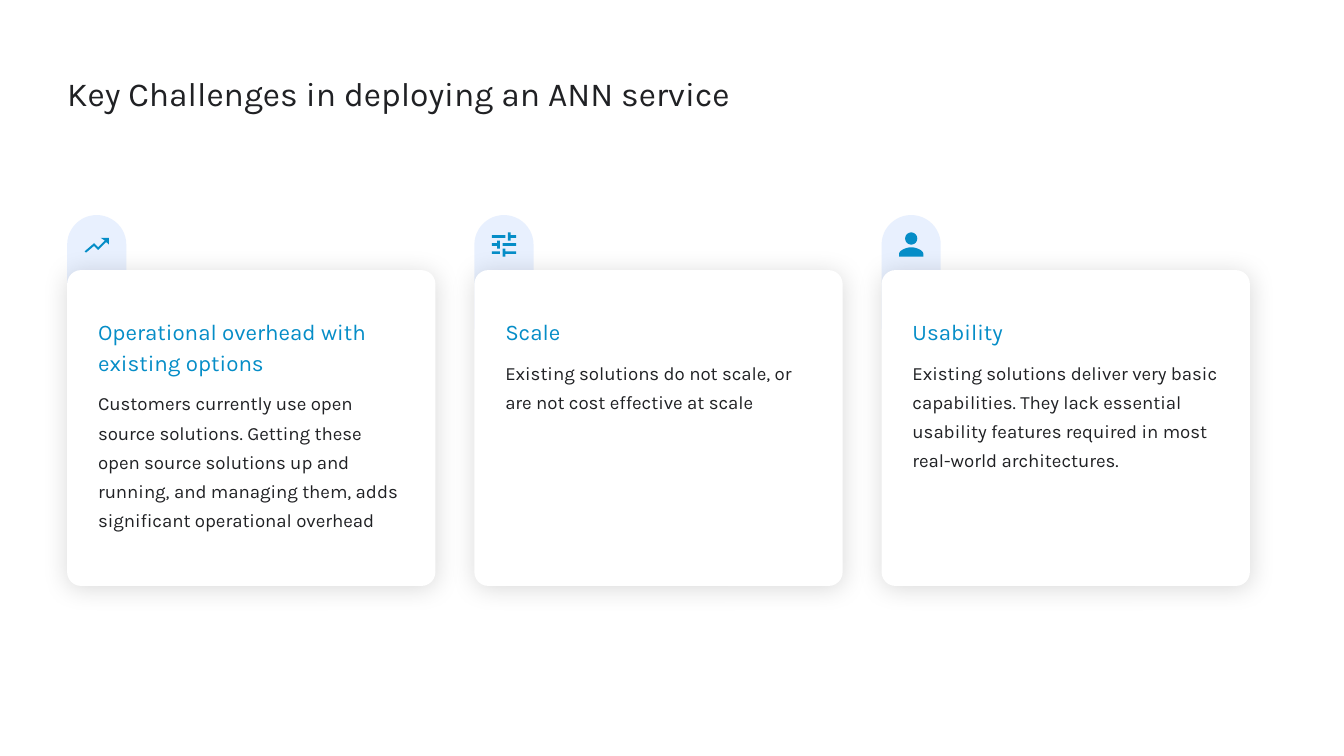
from math import cos, pi, sin

from lxml.etree import SubElement
from pptx import Presentation
from pptx.dml.color import RGBColor
from pptx.enum.shapes import MSO_SHAPE as Shape
from pptx.enum.text import MSO_ANCHOR as Anchor, MSO_AUTO_SIZE as AutoSize, PP_ALIGN as Align
from pptx.oxml.ns import qn
from pptx.util import Pt

PX = 9144  # EMU in one px, 100 px to the inch
FONT = "Karla"
BLUE, INK, PALE, WHITE = "058DC7", "202124", "E8F0FE", "FFFFFF"
CARD_LEFT, CARD_STEP, TAB_TOP = 50, 303, 160
CARD_SIZE = (274, 235)


def color(hex_value):
    return RGBColor.from_string(hex_value)


def bar(x, y, width, height):
    return [(x, y), (x + width, y), (x + width, y + height), (x, y + height)]


def circle(x, y, radius, steps=48):
    angles = [2 * pi * i / steps for i in range(steps)]
    return [(x + radius * cos(a), y + radius * sin(a)) for a in angles]


def bezier(start, first, second, end, steps=16):
    points = []
    for i in range(steps + 1):
        t = i / steps
        weights = ((1 - t) ** 3, 3 * t * (1 - t) ** 2, 3 * t * t * (1 - t), t ** 3)
        points.append(tuple(sum(w * p[axis] for w, p in zip(weights, (start, first, second, end)))
                            for axis in (0, 1)))
    return points


# Icon outlines in px, on an 18 px grid
TREND = [[(12, 4), (15, 6), (10, 11), (7, 8), (0, 14), (1, 15), (7, 10), (10, 13),
          (16, 7), (18, 9), (18, 4)]]
SLIDERS = [
    bar(0, 14, 6, 2), bar(0, 2, 10, 2), bar(8, 8, 10, 2),
    [(10, 18), (10, 16), (18, 16), (18, 14), (10, 14), (10, 12), (8, 12), (8, 18)],
    [(4, 8), (0, 8), (0, 10), (4, 10), (4, 12), (6, 12), (6, 6), (4, 6)],
    [(12, 6), (14, 6), (14, 4), (18, 4), (18, 2), (14, 2), (14, 0), (12, 0)],
]
SHOULDER = bezier((0, 16), (0, 13), (6, 11), (9, 11))
PERSON = [circle(9, 4.5, 4.5),
          [(0, 18)] + SHOULDER + [(18 - x, y) for x, y in SHOULDER[::-1]] + [(18, 18)]]

CARDS = [
    ("Operational overhead with \vexisting options",
     "Customers currently use open source solutions. Getting these open source solutions "
     "up and running, and managing them, adds significant operational overhead", TREND),
    ("Scale",
     "Existing solutions do not scale, or are not cost effective at scale", SLIDERS),
    ("Usability",
     "Existing solutions deliver very basic capabilities. They lack essential usability "
     "features required in most real-world architectures.", PERSON),
]


def paint(shape, fill):
    shape.shadow.inherit = False
    shape.fill.solid()
    shape.fill.fore_color.rgb = color(fill)
    shape.line.fill.background()


def add_box(page, kind, box, fill, corner):
    shape = page.shapes.add_shape(kind, *(v * PX for v in box))
    shape.adjustments[0] = corner
    paint(shape, fill)
    return shape


def add_shadow(shape):
    effects = shape._element.spPr.find(qn("a:effectLst"))
    shadow = SubElement(effects, qn("a:outerShdw"), blurRad=str(Pt(13.5)),
                        dist=str(Pt(1.5)), dir="5400000", algn="t", rotWithShape="0")
    shade = SubElement(shadow, qn("a:srgbClr"), val="000000")
    SubElement(shade, qn("a:alpha"), val="14000")


def set_frame(frame, left, top, right, bottom):
    frame.word_wrap = True
    frame.auto_size = AutoSize.NONE
    frame.vertical_anchor = Anchor.TOP
    frame.margin_left, frame.margin_top = left * PX, top * PX
    frame.margin_right, frame.margin_bottom = right * PX, bottom * PX


def write(para, text, size, ink, spacing):
    para.text = text
    para.alignment = Align.LEFT
    para.line_spacing = spacing
    para.font.name = FONT
    para.font.size = Pt(size)
    para.font.color.rgb = color(ink)


def add_icon(page, left, top, outlines):
    contours = [[((left + x) * PX, (top + y) * PX) for x, y in outline] for outline in outlines]
    builder = page.shapes.build_freeform(*contours[0][0])
    for i, contour in enumerate(contours):
        if i:
            builder.move_to(*contour[0])
        builder.add_line_segments(contour[1:], close=True)
    paint(builder.convert_to_shape(), BLUE)


def add_title(page, box, text):
    title = page.shapes.title
    title.left, title.top, title.width, title.height = (v * PX for v in box)
    set_frame(title.text_frame, 0, 0, 10, 0)
    write(title.text_frame.paragraphs[0], text, 18, INK, 1.15)


def add_card(page, left, top, heading, body, icon):
    # Tab behind the card
    add_box(page, Shape.ROUND_2_SAME_RECTANGLE, (left, top, 44, 85), PALE, 0.5)
    # Card with its text
    card = add_box(page, Shape.ROUNDED_RECTANGLE, (left, top + 41, *CARD_SIZE), WHITE, 0.044)
    add_shadow(card)
    frame = card.text_frame
    set_frame(frame, 20, 30, 20, 10)
    write(frame.paragraphs[0], heading, 12, BLUE, 1.15)
    para = frame.add_paragraph()
    write(para, body, 10, INK, 1.3)
    para.space_before = Pt(5)
    # Icon on the tab
    add_icon(page, left + 13, top + 13, icon)


def main():
    deck = Presentation()
    deck.slide_width = 1000 * PX
    deck.slide_height = deck.slide_width * 9 // 16
    page = deck.slides.add_slide(deck.slide_layouts[5])
    add_title(page, (50, 50, 886, 39), "Key Challenges in deploying an ANN service")
    for i, (heading, body, icon) in enumerate(CARDS):
        add_card(page, CARD_LEFT + i * CARD_STEP, TAB_TOP, heading, body, icon)
    deck.save("out.pptx")


if __name__ == "__main__":
    main()
